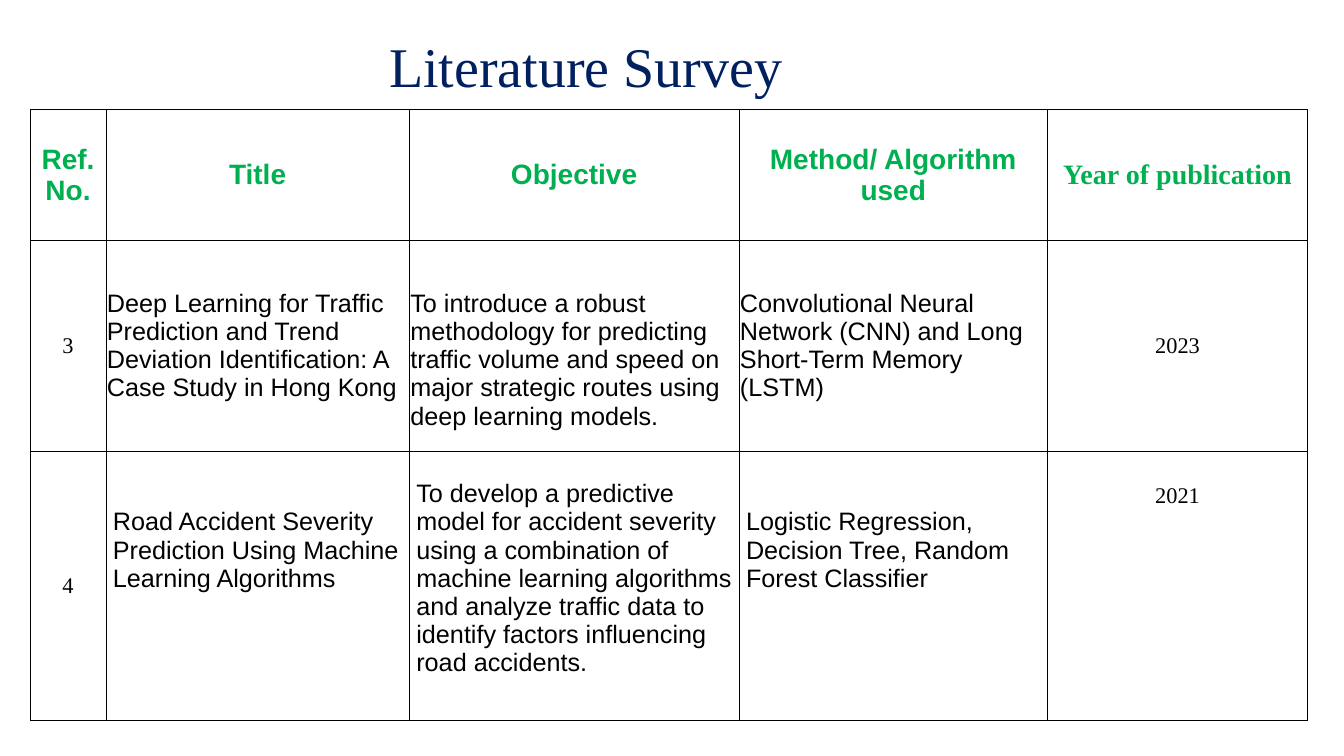
from dataclasses import dataclass

from pptx import Presentation
from pptx.dml.color import RGBColor
from pptx.enum import text
from pptx.oxml import parse_xml
from pptx.oxml.ns import nsdecls
from pptx.util import Inches, Pt


@dataclass(frozen=True)
class Theme:
    navy: str = "002060"
    green: str = "00B050"
    black: str = "000000"
    sans: str = "Arial"
    serif: str = "Times New Roman"
    title_size: int = 40
    header_size: int = 20
    body_size: int = 18
    number_size: int = 16


THEME = Theme()
COLUMN_WIDTHS = [0.75, 3.01, 3.27, 3.06, 2.58]
ROW_HEIGHTS = [1.29, 2.1, 2.67]
LINE = 0.28  # height of one body line, in inches

HEADINGS = ["Ref. No.", "Title", "Objective", "Method/ Algorithm used", "Year of publication"]
PAPERS = [
    ["3",
     "Deep Learning for Traffic Prediction and Trend Deviation Identification: "
     "A Case Study in Hong Kong",
     "To introduce a robust methodology for predicting traffic volume and speed on "
     "major strategic routes using deep learning models.",
     "Convolutional Neural Network (CNN) and Long Short-Term Memory (LSTM)",
     "2023"],
    ["4",
     "Road Accident Severity Prediction Using Machine Learning Algorithms",
     "To develop a predictive model for accident severity using a combination of "
     "machine learning algorithms and analyze traffic data to identify factors "
     "influencing road accidents.",
     "Logistic Regression, Decision Tree, Random Forest Classifier",
     "2021"],
]
# Lines left free above the text, by row and column
LINES_ABOVE = [[0, 0, 0, 0, 0], [0, 0, 1, 0, 0], [0, 2, 1, 2, 1]]


def style_text(paragraph, font_name, size, color, bold=False):
    for run in paragraph.runs:
        run.font.name = font_name
        run.font.size = Pt(size)
        run.font.bold = bold
        run.font.color.rgb = RGBColor.from_string(color)


def set_borders(cell, widths):
    """Draw black cell borders; widths maps L, R, T and B to points."""
    properties = cell._tc.get_or_add_tcPr()
    for side, width in widths.items():
        properties.append(parse_xml(
            f'<a:ln{side} {nsdecls("a")} w="{Pt(width)}"><a:solidFill>'
            f'<a:srgbClr val="{THEME.black}"/></a:solidFill></a:ln{side}>'))


def add_heading(slide, left, top, width, height):
    heading = slide.shapes.add_textbox(*map(Inches, (left, top, width, height)))
    frame = heading.text_frame
    frame.word_wrap = True
    frame.vertical_anchor = text.MSO_ANCHOR.BOTTOM
    frame.margin_left = Inches(3.14)
    frame.text = "Literature Survey"
    frame.paragraphs[0].line_spacing = 0.9
    style_text(frame.paragraphs[0], THEME.serif, THEME.title_size, THEME.navy)


def fill_cell(cell, content, row, column):
    last_column = len(COLUMN_WIDTHS) - 1
    is_number = row > 0 and column in (0, last_column)
    is_top_aligned = row == 2 and column > 0

    # Borders and background
    set_borders(cell, {"L": 1 if column == last_column else 0.5,
                       "R": 1 if column == last_column - 1 else 0.5,
                       "T": 1 if row == 0 else 0.5,
                       "B": 0.5})
    cell.fill.background()

    # Text placement
    side = 0.07 if is_top_aligned else 0.01
    cell.margin_left = cell.margin_right = Inches(side)
    cell.margin_top = Inches(LINES_ABOVE[row][column] * LINE)
    cell.margin_bottom = 0
    cell.vertical_anchor = text.MSO_ANCHOR.TOP if is_top_aligned else text.MSO_ANCHOR.MIDDLE

    # Wording and type
    cell.text_frame.text = content
    paragraph = cell.text_frame.paragraphs[0]
    centred = row == 0 or is_number
    paragraph.alignment = text.PP_ALIGN.CENTER if centred else text.PP_ALIGN.LEFT
    if is_top_aligned and is_number:
        paragraph.line_spacing = 1.15
    if row == 0:
        font_name = THEME.serif if column == last_column else THEME.sans
        style_text(paragraph, font_name, THEME.header_size, THEME.green, bold=True)
    elif is_number:
        style_text(paragraph, THEME.serif, THEME.number_size, THEME.black)
    else:
        style_text(paragraph, THEME.sans, THEME.body_size, THEME.black)


def add_survey_table(slide, left, top, width, height):
    rows = [HEADINGS, *PAPERS]
    survey = slide.shapes.add_table(
        len(rows), len(HEADINGS), *map(Inches, (left, top, width, height))).table
    survey.first_row = survey.horz_banding = False
    for column, column_width in zip(survey.columns, COLUMN_WIDTHS):
        column.width = Inches(column_width)
    for row, row_height in zip(survey.rows, ROW_HEIGHTS):
        row.height = Inches(row_height)
    for r, contents in enumerate(rows):
        for c, content in enumerate(contents):
            fill_cell(survey.cell(r, c), content, r, c)


def main():
    deck = Presentation()
    deck.slide_width, deck.slide_height = Inches(13.33), Inches(7.5)
    slide = deck.slides.add_slide(deck.slide_layouts[6])
    add_heading(slide, 0.72, 0, 12.26, 1.04)
    add_survey_table(slide, 0.3, 1.09, sum(COLUMN_WIDTHS), sum(ROW_HEIGHTS))
    deck.save("out.pptx")


if __name__ == "__main__":
    main()
